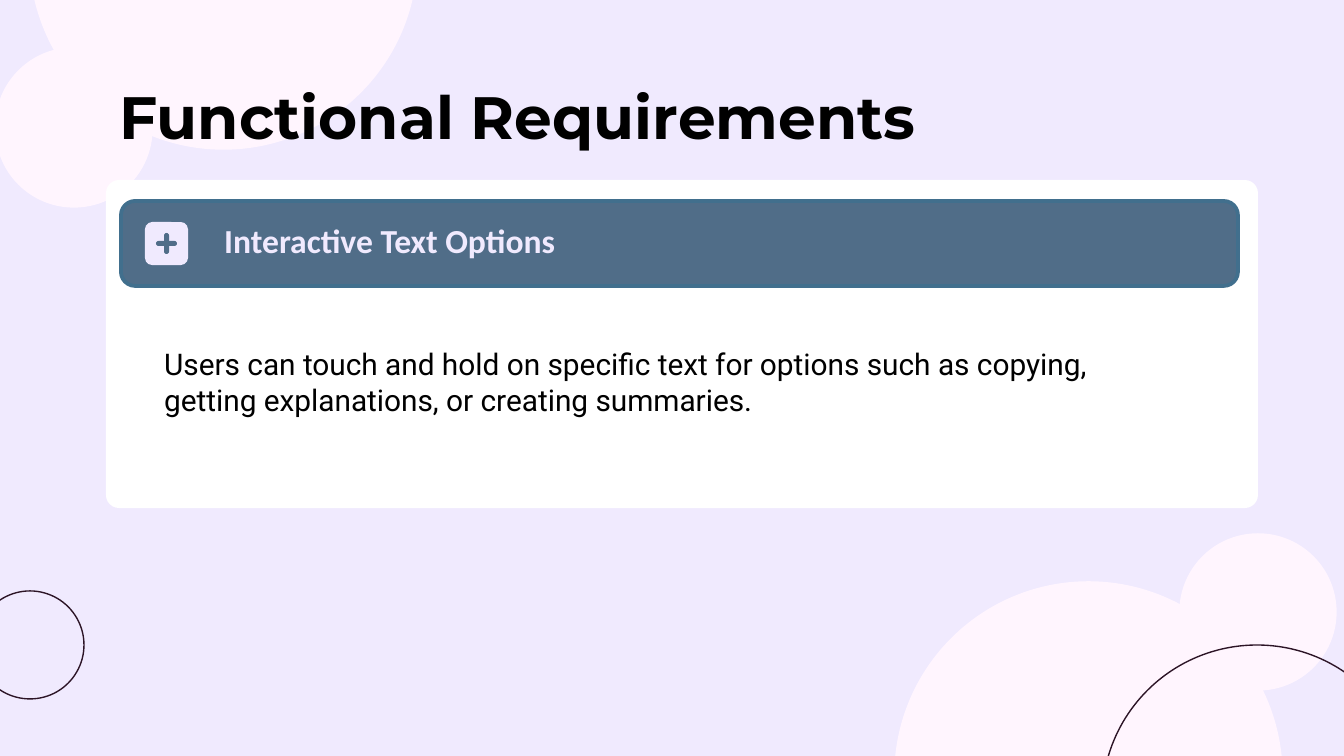
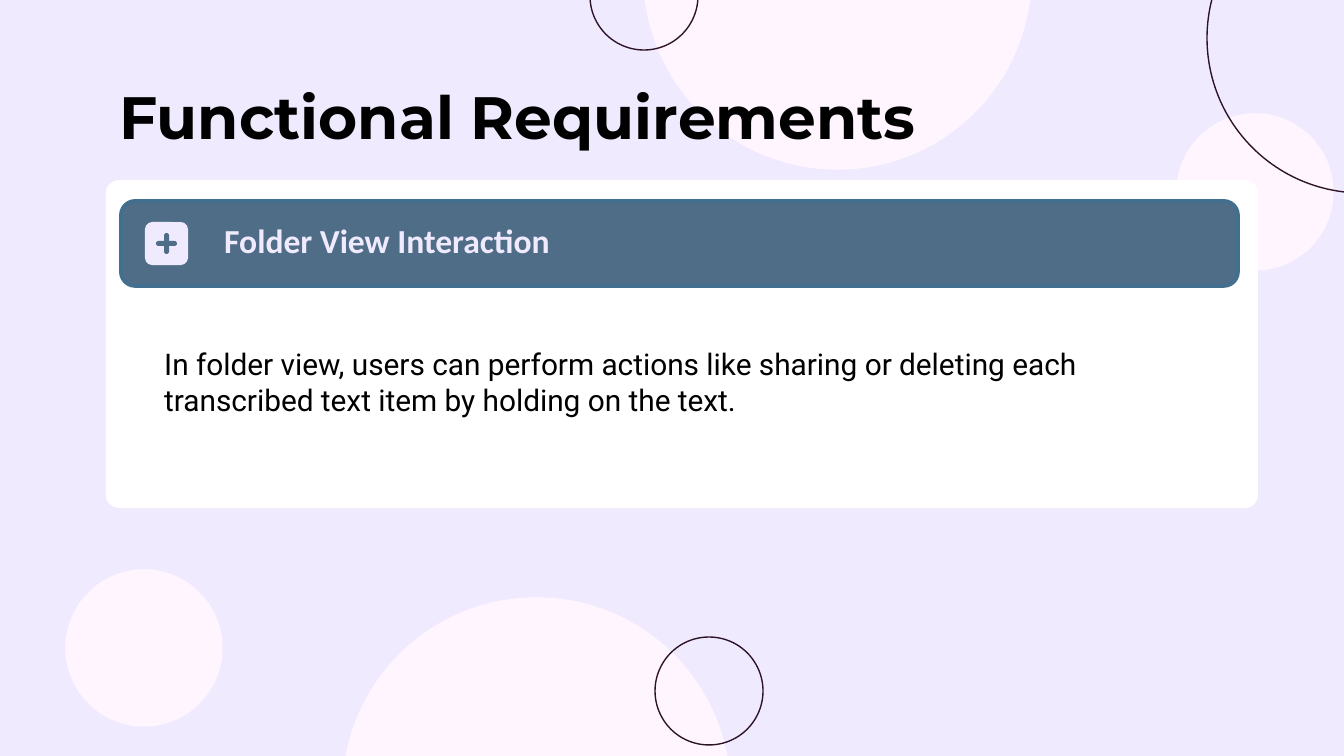
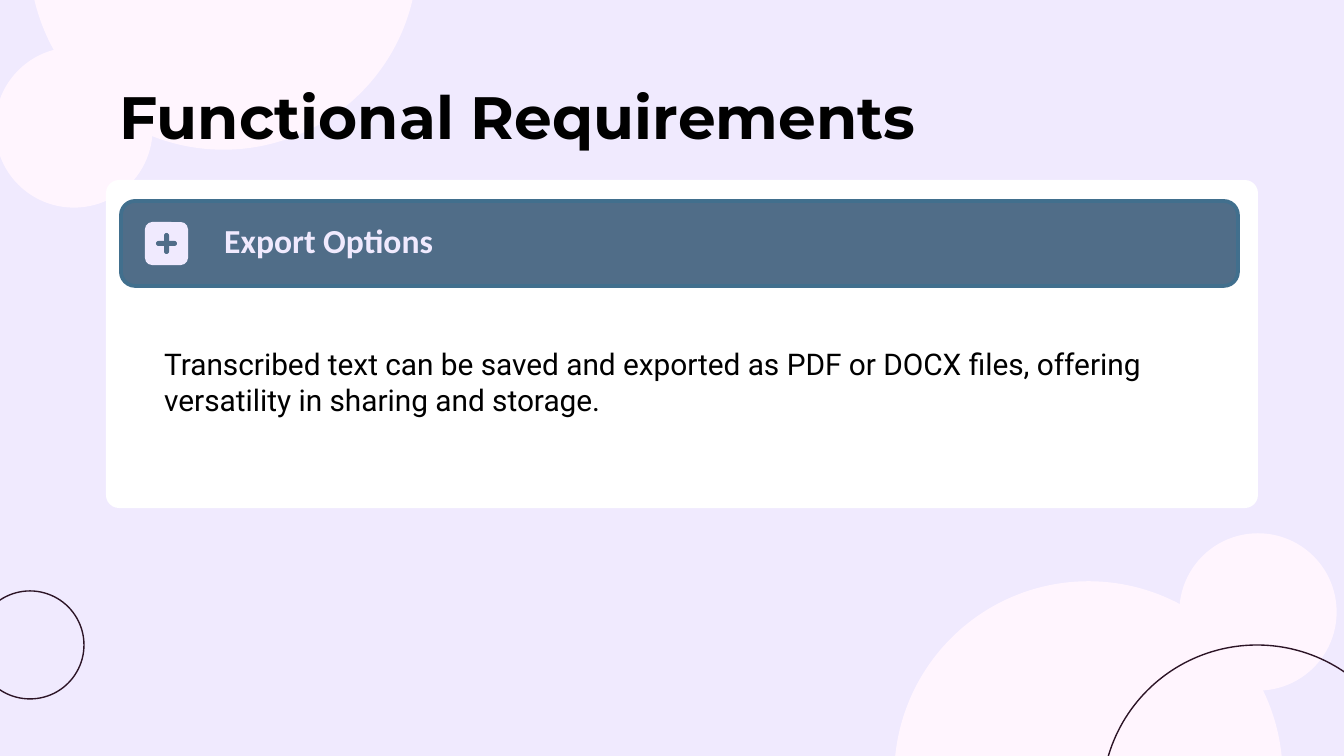
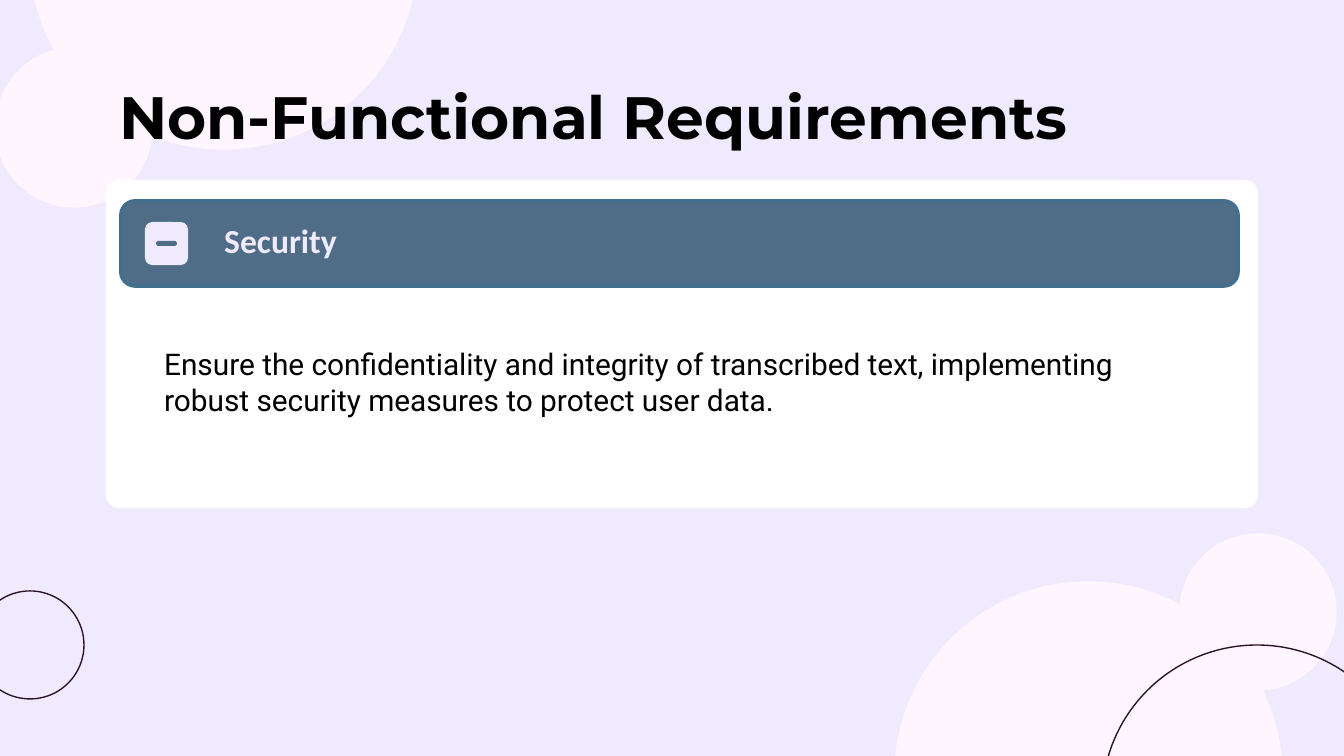
from dataclasses import dataclass

from pptx import Presentation
from pptx import util as u
from pptx.dml.color import RGBColor
from pptx.enum import shapes, text

PX_PER_INCH = 134.4
PAGE_SIZE = (1344, 756)
BLANK_LAYOUT = 6


@dataclass(frozen=True)
class Theme:
    lavender: str = "F0EAFE"
    blush: str = "FFF5FE"
    plum: str = "2C1426"
    white: str = "FFFFFF"
    slate: str = "506D88"
    slate_edge: str = "416F8D"
    black: str = "000000"
    title_font: str = "Montserrat"
    heading_font: str = "Calibri"
    body_font: str = "Roboto"
    title_size: int = 32
    heading_size: int = 18
    body_size: int = 16
    thin: float = 0.75
    thick: float = 2


THEME = Theme()

BIG_DISC, SMALL_DISC = 387, 156
BIG_RING, SMALL_RING = 310, 108

CORNER_DISCS = [
    (1180, 534, SMALL_DISC),
    (895, 582, BIG_DISC),
    (-4, 48, SMALL_DISC),
    (30, -238, BIG_DISC),
    (-4, 51, SMALL_DISC),
]
CORNER_RINGS = [(1102, 645, BIG_RING), (-24, 591, SMALL_RING)]
SCATTERED_DISCS = [
    (1177, 114, SMALL_DISC),
    (66, 570, SMALL_DISC),
    (343, 598, BIG_DISC),
    (644, -218, BIG_DISC),
]
SCATTERED_RINGS = [
    (655, 637, SMALL_RING),
    (590, -58, SMALL_RING),
    (1207, -117, BIG_RING),
]
CORNERS = (CORNER_DISCS, CORNER_RINGS)
SCATTERED = (SCATTERED_DISCS, SCATTERED_RINGS)

REQUIREMENTS = [
    (CORNERS, "Functional Requirements", "plus", "Interactive Text Options",
     "Users can touch and hold on specific text for options such as copying, "
     "getting explanations, or creating summaries."),
    (SCATTERED, "Functional Requirements", "plus", "Folder View Interaction",
     "In folder view, users can perform actions like sharing or deleting each "
     "transcribed text item by holding on the text."),
    (CORNERS, "Functional Requirements", "plus", "Export Options",
     "Transcribed text can be saved and exported as PDF or DOCX files, "
     "offering versatility in sharing and storage."),
    (CORNERS, "Non-Functional Requirements", "minus", "Security",
     "Ensure the confidentiality and integrity of transcribed text, "
     "implementing robust security measures to protect user data."),
]


def px(length):
    return u.Emu(round(length * u.Inches(1) / PX_PER_INCH))


def rgb(colour):
    return RGBColor.from_string(colour)


def add_figure(parent, kind, area, fill=None, line=None, weight=THEME.thin):
    figure = parent.shapes.add_shape(kind, *map(px, area))
    figure.shadow.inherit = False
    if fill:
        figure.fill.solid()
        figure.fill.fore_color.rgb = rgb(fill)
    else:
        figure.fill.background()
    if line:
        figure.line.color.rgb = rgb(line)
        figure.line.width = u.Pt(weight)
    else:
        figure.line.fill.background()
    return figure


def add_rounded(parent, area, fill, corner=None, **outline):
    figure = add_figure(parent, shapes.MSO_SHAPE.ROUNDED_RECTANGLE, area, fill, **outline)
    if corner is not None:
        figure.adjustments[0] = corner
    return figure


def add_circles(page, circles, fill, line):
    for left, top, size in circles:
        add_figure(page, shapes.MSO_SHAPE.OVAL, (left, top, size, size), fill, line)


def add_text(page, area, words, font, size, colour, bold=False,
             anchor=text.MSO_ANCHOR.TOP):
    box = page.shapes.add_textbox(*map(px, area))
    frame = box.text_frame
    frame.word_wrap = True
    frame.vertical_anchor = anchor
    frame.margin_left = frame.margin_right = u.Inches(0.1)
    frame.margin_top = frame.margin_bottom = u.Inches(0.1)
    para = frame.paragraphs[0]
    para.text = words
    para.font.name = font
    para.font.size = u.Pt(size)
    para.font.bold = bold
    para.font.color.rgb = rgb(colour)


def add_sign(page, sign):
    group = page.shapes.add_group_shape()
    add_rounded(group, (145, 222, 43, 43), THEME.lavender)
    angles = (0, 90) if sign == "plus" else (0,)
    for angle in angles:
        stroke = add_rounded(group, (156, 241, 21, 5), THEME.slate, corner=0.5)
        stroke.rotation = angle


def add_card(page, sign, heading, body):
    add_rounded(page, (106, 180, 1152, 328), THEME.white, corner=0.04)
    add_rounded(page, (121, 201, 1117, 85), THEME.slate,
                line=THEME.slate_edge, weight=THEME.thick)
    add_text(page, (151, 332, 1044, 95), body,
             THEME.body_font, THEME.body_size, THEME.black)
    add_text(page, (211, 212, 546, 62), heading,
             THEME.heading_font, THEME.heading_size, THEME.lavender,
             bold=True, anchor=text.MSO_ANCHOR.BOTTOM)
    add_sign(page, sign)


def add_page(deck, scenery, title, sign, heading, body):
    page = deck.slides.add_slide(deck.slide_layouts[BLANK_LAYOUT])
    page.background.fill.solid()
    page.background.fill.fore_color.rgb = rgb(THEME.lavender)
    discs, rings = scenery
    add_circles(page, discs, THEME.blush, THEME.blush)
    add_circles(page, rings, None, THEME.plum)
    add_text(page, (106, 66, 1133, 85), title,
             THEME.title_font, THEME.title_size, THEME.black, bold=True)
    add_card(page, sign, heading, body)


def main():
    deck = Presentation()
    deck.slide_width, deck.slide_height = map(px, PAGE_SIZE)
    for requirement in REQUIREMENTS:
        add_page(deck, *requirement)
    deck.save("out.pptx")


if __name__ == "__main__":
    main()
